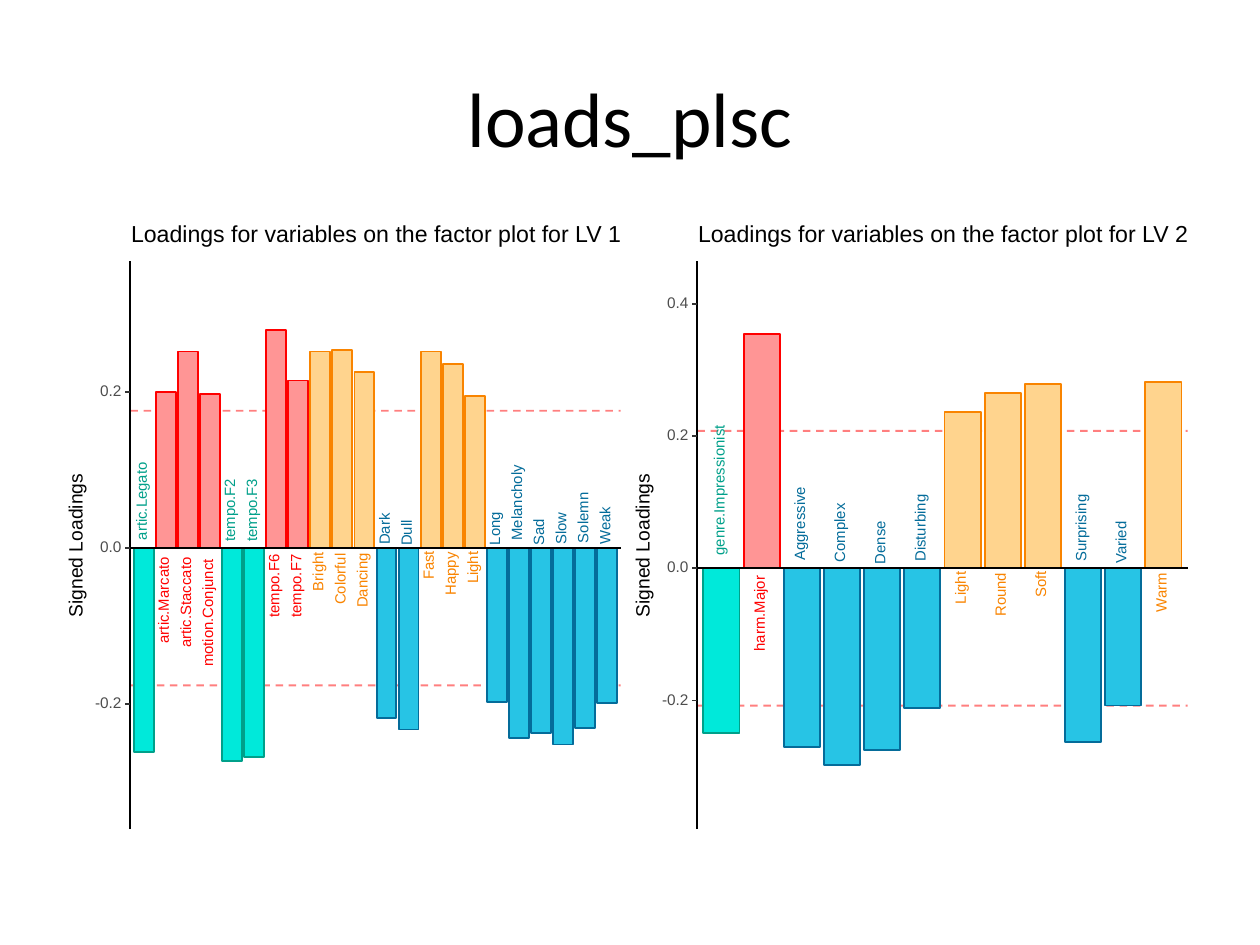
from lxml import etree
from pptx import Presentation
from pptx.dml.color import RGBColor
from pptx.enum.dml import MSO_LINE
from pptx.enum.shapes import MSO_CONNECTOR, MSO_SHAPE
from pptx.enum.text import MSO_ANCHOR, PP_ALIGN
from pptx.oxml.ns import qn
from pptx.util import Inches, Pt

RECT = MSO_SHAPE.RECTANGLE
STRAIGHT = MSO_CONNECTOR.STRAIGHT
DASH = MSO_LINE.DASH
MIDDLE = MSO_ANCHOR.MIDDLE
CENTER = PP_ALIGN.CENTER

BLACK = RGBColor(0x00, 0x00, 0x00)
WHITE = RGBColor(0xFF, 0xFF, 0xFF)
RED = RGBColor(0xFF, 0x00, 0x00)
PINK = RGBColor(0xFF, 0x95, 0x95)
GREEN = RGBColor(0x00, 0xA0, 0x8A)
AQUA = RGBColor(0x00, 0xE9, 0xDA)
ORANGE = RGBColor(0xF9, 0x84, 0x00)
SAND = RGBColor(0xFF, 0xD4, 0x8E)
NAVY = RGBColor(0x04, 0x6C, 0x9A)
SKY = RGBColor(0x27, 0xC4, 0xE5)
GREY = RGBColor(0x4D, 0x4D, 0x4D)
DARK = RGBColor(0x33, 0x33, 0x33)

TONES = {"g": (AQUA, GREEN), "r": (PINK, RED), "o": (SAND, ORANGE), "b": (SKY, NAVY)}
STROKE = Pt(1.07)
WIDE, HIGH = 3.89, 4.51
TOP = 2.07
SLACK = 0.06

FIRST = [
    ("artic.Legato", "g", -1.62, 0.62), ("artic.Marcato", "r", 1.24, 0.69),
    ("artic.Staccato", "r", 1.56, 0.72), ("motion.Conjunct", "r", 1.22, 0.86),
    ("tempo.F2", "g", -1.69, 0.5), ("tempo.F3", "g", -1.66, 0.5),
    ("tempo.F6", "r", 1.73, 0.5), ("tempo.F7", "r", 1.33, 0.5),
    ("Bright", "o", 1.56, 0.31), ("Colorful", "o", 1.57, 0.41),
    ("Dancing", "o", 1.4, 0.43), ("Dark", "b", -1.35, 0.25),
    ("Dull", "b", -1.44, 0.2), ("Fast", "o", 1.56, 0.23),
    ("Happy", "o", 1.46, 0.34), ("Light", "o", 1.21, 0.26),
    ("Long", "b", -1.22, 0.26), ("Melancholy", "b", -1.51, 0.6),
    ("Sad", "b", -1.47, 0.21), ("Slow", "b", -1.56, 0.26),
    ("Solemn", "b", -1.43, 0.4), ("Weak", "b", -1.23, 0.3),
]
SECOND = [
    ("genre.Impressionist", "g", -1.31, 1.03), ("harm.Major", "r", 1.86, 0.6),
    ("Aggressive", "b", -1.42, 0.59), ("Complex", "b", -1.56, 0.47),
    ("Dense", "b", -1.44, 0.34), ("Disturbing", "b", -1.11, 0.53),
    ("Light", "o", 1.24, 0.26), ("Round", "o", 1.39, 0.35),
    ("Soft", "o", 1.46, 0.21), ("Surprising", "b", -1.38, 0.53),
    ("Varied", "b", -1.09, 0.34), ("Warm", "o", 1.48, 0.32),
]
PANELS = [
    (0.5, 4.35, 1.24, ["-0.2", "0.0", "0.2"], FIRST, "1"),
    (5, 4.51, 1.05, ["-0.2", "0.0", "0.2", "0.4"], SECOND, "2"),
]

deck = Presentation()
deck.slide_width, deck.slide_height = Inches(10), Inches(7.5)
slide = deck.slides.add_slide(deck.slide_layouts[6])


def write(host, words, mid, row, wide, high, size, tone, turn=0, face="Arial", lead=1):
    box = host.add_textbox(*map(Inches, (mid - wide / 2, row - high / 2, wide, high)))
    box.rotation = turn
    frame = box.text_frame
    form = {"word_wrap": False, "vertical_anchor": MIDDLE, "margin_left": 0,
            "margin_right": 0, "margin_top": 0, "margin_bottom": 0}
    for key, val in form.items():
        setattr(frame, key, val)
    para = frame.paragraphs[0]
    para.alignment = CENTER
    para.line_spacing = Pt(size) if lead else None
    run = para.add_run()
    run.text = words
    for key, val in {"name": face, "size": Pt(size)}.items():
        setattr(run.font, key, val)
    run.font.color.rgb = tone


def draw(host, spot, line, fill=None):
    if fill is None:
        item = host.add_connector(STRAIGHT, *map(Inches, spot))
        etree.SubElement(item._element.spPr, qn("a:effectLst"))
    else:
        item = host.add_shape(RECT, *map(Inches, spot))
        item.shadow.inherit = False
        item.fill.solid()
        item.fill.fore_color.rgb = fill
    item.line.color.rgb = line
    item.line.width = STROKE
    return item


write(slide.shapes, "loads_plsc", 5, 0.925, 9, 1.25, 44, BLACK, face="Calibri", lead=0)
draw(slide.shapes, (0.5, 1.75, 9, 4.95), WHITE, WHITE)

for left, base, step, marks, bars, rank in PANELS:
    panel = slide.shapes.add_group_shape().shapes
    draw(panel, (left, 1.75, 4.5, 4.95), WHITE, WHITE)
    axis = left + 0.535
    end = axis + WIDE
    for gap in (-1.09, 1.09):
        limit = draw(panel, (axis, base + gap, end, base + gap), RED)
        limit.line.dash_style = DASH
        hue = limit._element.spPr.find(".//" + qn("a:srgbClr"))
        etree.SubElement(hue, qn("a:alpha"), val="50000")

    pitch = WIDE / (len(bars) + 0.2)
    mids = [axis + pitch * (num + 0.6) for num in range(len(bars))]
    for mid, (name, kind, rise, span) in zip(mids, bars):
        fill, line = TONES[kind]
        spot = (mid - 0.45 * pitch, base - max(rise, 0), 0.9 * pitch, abs(rise))
        draw(panel, spot, line, fill)
    for mid, (name, kind, rise, span) in zip(mids, bars):
        row = base + (0.6 * span if rise > 0 else -0.6 * span)
        tone = TONES[kind][1]
        write(panel, name, mid - 0.01, row, span + SLACK, 0.11, 8.5, tone, 270)

    draw(panel, (axis, base, end, base), BLACK)
    draw(panel, (axis, TOP + HIGH, axis, TOP), BLACK)
    for num, mark in enumerate(marks):
        row = base - step * (num - 1)
        span = 0.21 if num == 0 else 0.17
        write(panel, mark, axis - 0.07 - span / 2, row, span, 0.09, 8.8, GREY)
        draw(panel, (axis - 0.04, row, axis, row), DARK)
    write(panel, "Signed Loadings", left + 0.11, 4.33, 1.14 + SLACK, 0.14, 11, BLACK, 270)
    head = "Loadings for variables on the factor plot for LV " + rank
    write(panel, head, axis + 1.95, 1.87, 3.9, 0.17, 13.2, BLACK)

deck.save("out.pptx")
